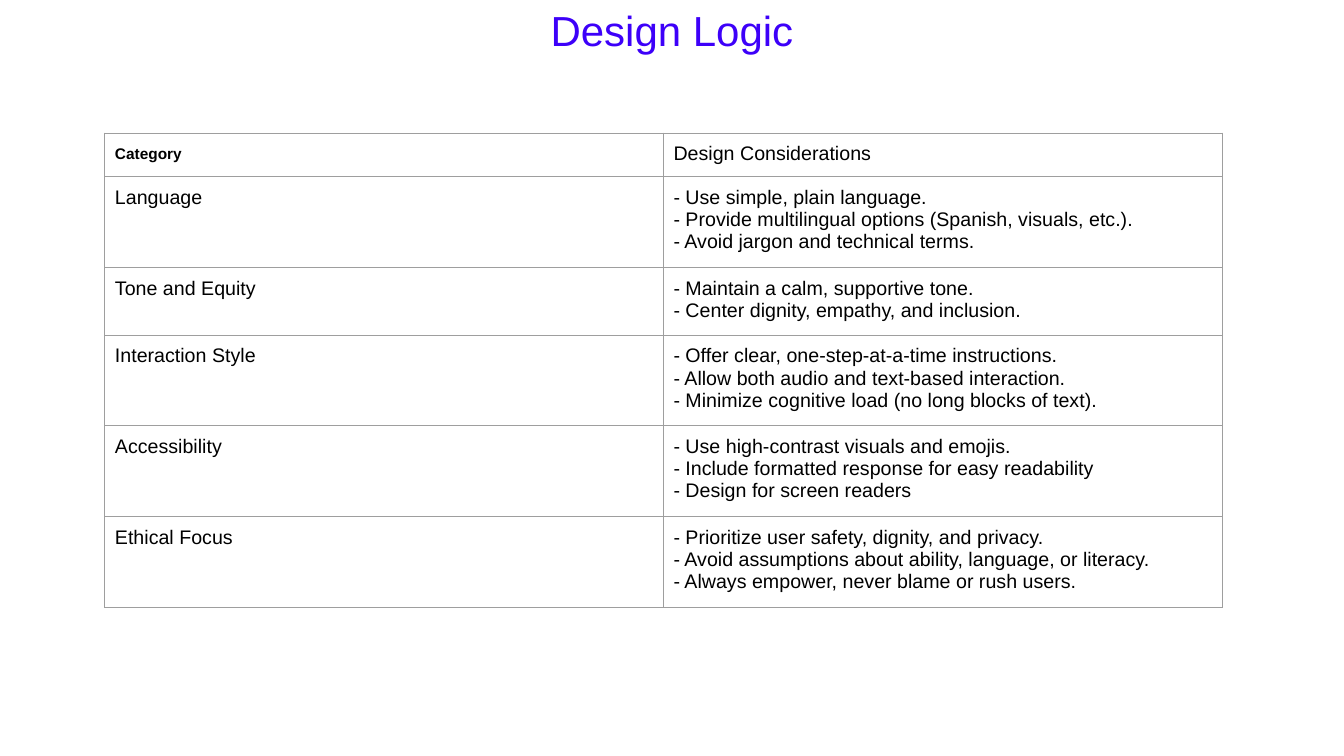
import pptx
import pptx.dml.color
import pptx.enum.text
import pptx.oxml
import pptx.oxml.ns
import pptx.util

Inches = pptx.util.Inches
Pt = pptx.util.Pt

FONT = "Arial"
COLORS = {"title": "3D00F9", "text": "000000", "border": "9E9E9E"}
BORDER_WIDTH = Pt(0.75)

HEADER = ("Category", "Design Considerations")
CONSIDERATIONS = {
    "Language": [
        "- Use simple, plain language.",
        "- Provide multilingual options (Spanish, visuals, etc.).",
        "- Avoid jargon and technical terms.",
    ],
    "Tone and Equity": [
        "- Maintain a calm, supportive tone.",
        "- Center dignity, empathy, and inclusion.",
    ],
    "Interaction Style": [
        "- Offer clear, one-step-at-a-time instructions.",
        "- Allow both audio and text-based interaction.",
        "- Minimize cognitive load (no long blocks of text).",
    ],
    "Accessibility": [
        "- Use high-contrast visuals and emojis.",
        "- Include formatted response for easy readability",
        "- Design for screen readers",
    ],
    "Ethical Focus": [
        "- Prioritize user safety, dignity, and privacy.",
        "- Avoid assumptions about ability, language, or literacy.",
        "- Always empower, never blame or rush users.",
    ],
}
# Row height in inches by number of text lines
ROW_HEIGHTS = {1: 0.43, 2: 0.67, 3: 0.9}


def format_text(text_frame, size, color, bold=False):
    for paragraph in text_frame.paragraphs:
        for run in paragraph.runs:
            run.font.name = FONT
            run.font.size = Pt(size)
            run.font.bold = bold
            run.font.color.rgb = pptx.dml.color.RGBColor.from_string(COLORS[color])


def add_title(slide, text):
    shape = slide.shapes.add_textbox(0, 0, Inches(13.33), Inches(0.61))
    text_frame = shape.text_frame
    text_frame.word_wrap = True
    text_frame.text = text
    text_frame.paragraphs[0].alignment = pptx.enum.text.PP_ALIGN.CENTER
    format_text(text_frame, 30, "title")


def add_borders(cell):
    properties = cell._tc.get_or_add_tcPr()
    for position, side in enumerate(("lnL", "lnR", "lnT", "lnB")):
        border = pptx.oxml.parse_xml(
            f'<a:{side} {pptx.oxml.ns.nsdecls("a")} w="{BORDER_WIDTH}">'
            f'<a:solidFill><a:srgbClr val="{COLORS["border"]}"/></a:solidFill>'
            f"</a:{side}>"
        )
        properties.insert(position, border)


def fill_cell(cell, lines):
    cell.margin_left = cell.margin_right = Inches(0.1)
    cell.margin_top = cell.margin_bottom = Inches(0.1)
    cell.fill.background()
    cell.text_frame.text = "\n".join(lines)
    format_text(cell.text_frame, 14, "text")
    add_borders(cell)


def add_considerations_table(slide):
    rows = [[[heading] for heading in HEADER]]
    rows += [[[category], lines] for category, lines in CONSIDERATIONS.items()]
    heights = [ROW_HEIGHTS[len(lines)] for _, lines in rows]

    table = slide.shapes.add_table(
        len(rows), len(HEADER), Inches(1.04), Inches(1.32),
        Inches(11.08), Inches(sum(heights)),
    ).table
    table.first_row = False
    table.horz_banding = False

    for row_index, row in enumerate(rows):
        table.rows[row_index].height = Inches(heights[row_index])
        for column_index, lines in enumerate(row):
            fill_cell(table.cell(row_index, column_index), lines)

    # The first heading is smaller and bold
    category_frame = table.cell(0, 0).text_frame
    category_frame.paragraphs[0].line_spacing = 1.15
    format_text(category_frame, 11, "text", bold=True)


def main():
    presentation = pptx.Presentation()
    presentation.slide_width = Inches(13.33)
    presentation.slide_height = Inches(7.5)
    slide = presentation.slides.add_slide(presentation.slide_layouts[6])

    add_title(slide, "Design Logic")
    add_considerations_table(slide)

    presentation.save("out.pptx")


if __name__ == "__main__":
    main()
